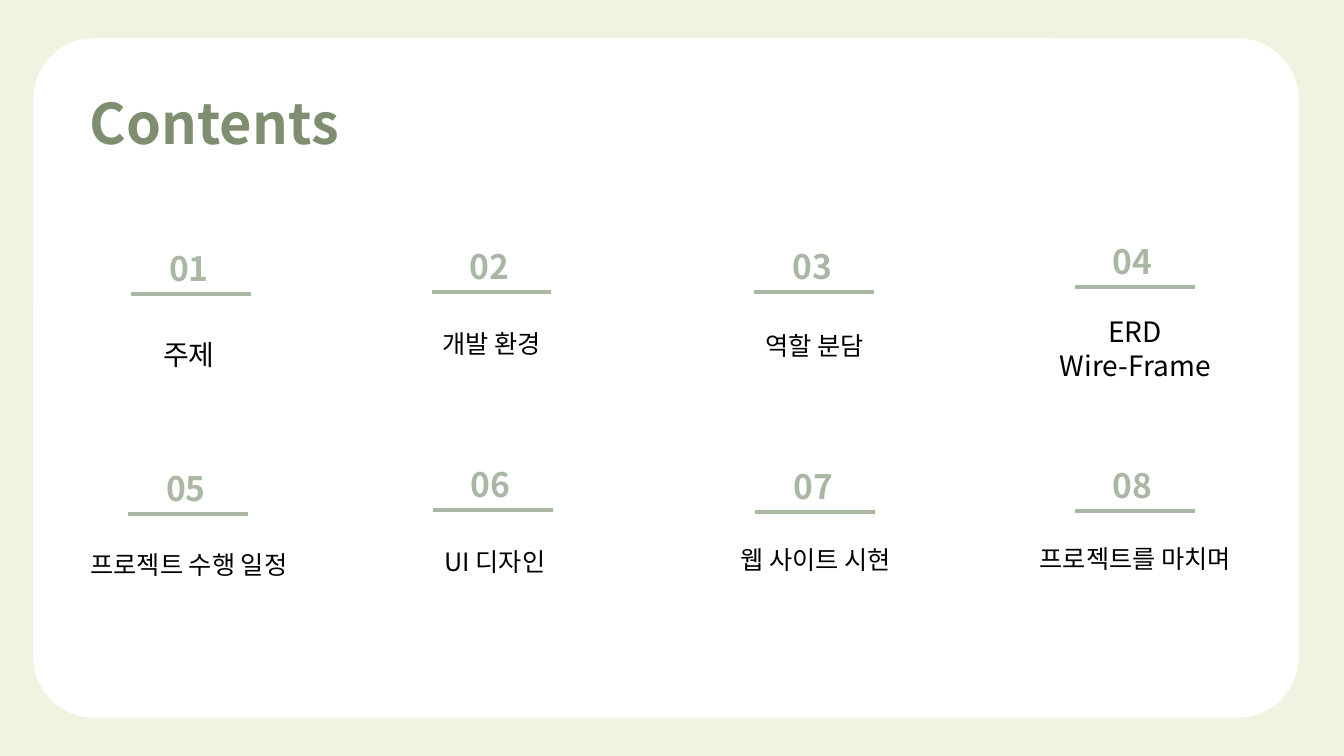
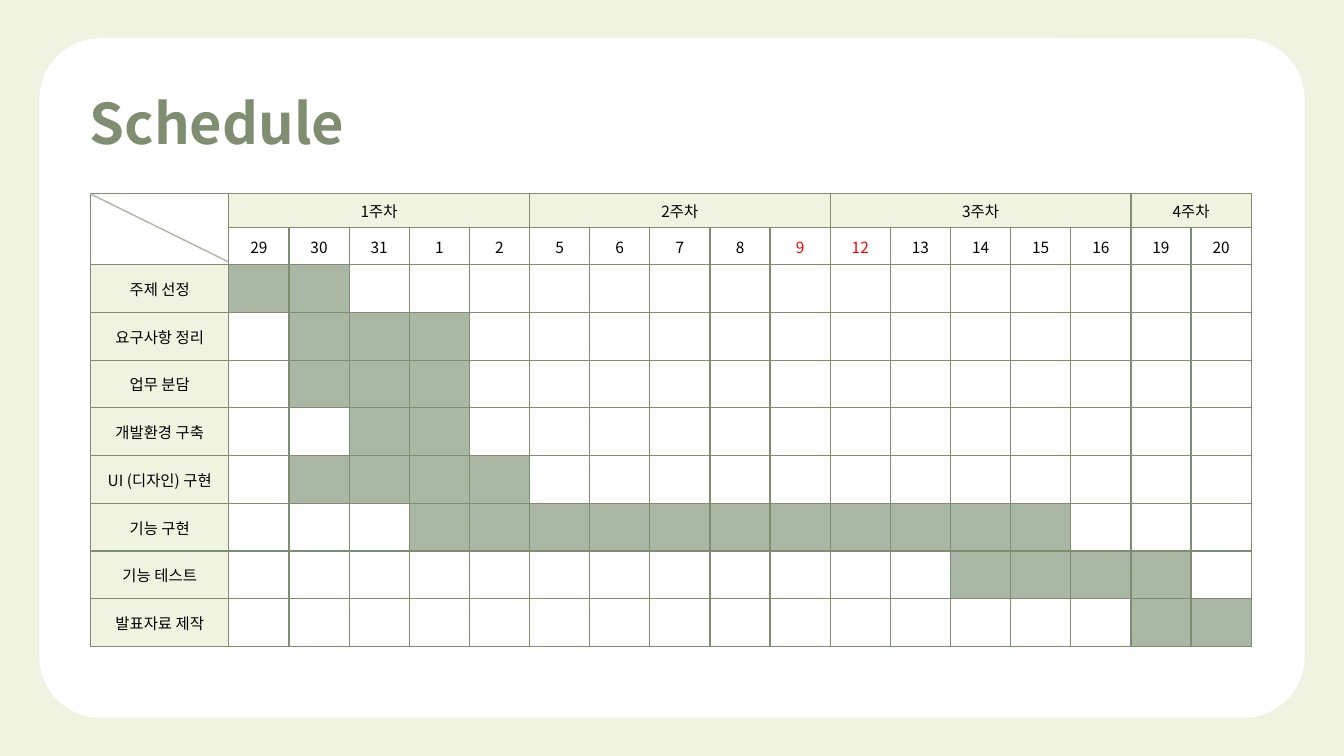
import pptx
import pptx.dml.color
import pptx.enum.shapes
import pptx.enum.text
import pptx.oxml
import pptx.oxml.ns
import pptx.util
from lxml import etree

Inches = pptx.util.Inches
Pt = pptx.util.Pt
RGBColor = pptx.dml.color.RGBColor
ALIGN = pptx.enum.text.PP_ALIGN
ANCHOR = pptx.enum.text.MSO_ANCHOR
qn = pptx.oxml.ns.qn

CREAM = RGBColor(0xF1, 0xF3, 0xE1)
OLIVE = RGBColor(0x7F, 0x8D, 0x70)
SAGE = RGBColor(0xAB, 0xB7, 0xA5)
WHITE = RGBColor(0xFF, 0xFF, 0xFF)
BLACK = RGBColor(0, 0, 0)
RED = RGBColor(0xFF, 0, 0)
FONT = "Noto Sans CJK KR"

CHAPTERS = [
    ("01", 1.3, 2.92),
    ("02", 4.28, 2.9),
    ("03", 7.48, 2.9),
    ("04", 10.66, 2.85),
    ("05", 1.27, 5.1),
    ("06", 4.29, 5.06),
    ("07", 7.49, 5.08),
    ("08", 10.66, 5.07),
]
CHAPTER_NAMES = [
    ("주제", (1.52, 3.13, 0.97, 0.56), 20, ALIGN.LEFT, 1.5),
    ("개발 환경", (4.29, 3.21, 1.44, 0.4), 18, ALIGN.LEFT, 1),
    ("역할 분담", (7.49, 3.23, 1.18, 0.4), 18, ALIGN.LEFT, 1),
    ("ERD\nWire-Frame", (10.04, 3.07, 2.44, 0.77), 20, ALIGN.CENTER, 1),
    ("프로젝트 수행 일정", (0.8, 5.4, 2.44, 0.4), 18, ALIGN.LEFT, 1),
    ("UI 디자인", (4.31, 5.37, 2.44, 0.4), 18, ALIGN.LEFT, 1),
    ("웹 사이트 시현", (6.87, 5.35, 2.44, 0.4), 18, ALIGN.CENTER, 1),
    ("프로젝트를 마치며", (10.04, 5.34, 2.44, 0.4), 18, ALIGN.CENTER, 1),
]

WEEKS = [("1주차", 5), ("2주차", 5), ("3주차", 5), ("4주차", 2)]
DAYS = [29, 30, 31, 1, 2, 5, 6, 7, 8, 9, 12, 13, 14, 15, 16, 19, 20]
HOLIDAYS = {9, 12}
TASKS = [
    ("주제 선정", 0, 2),
    ("요구사항 정리", 1, 3),
    ("업무 분담", 1, 3),
    ("개발환경 구축", 2, 2),
    ("UI (디자인) 구현", 1, 4),
    ("기능 구현", 3, 11),
    ("기능 테스트", 12, 4),
    ("발표자료 제작", 15, 2),
]


class Composer:
    def __init__(self):
        self.deck = pptx.Presentation()
        self.deck.slide_width = Inches(13.33)
        self.deck.slide_height = Inches(7.5)
        self.page = None

    def style(self, frame, size, color, bold=False, align=ALIGN.LEFT, spacing=1):
        for para in frame.paragraphs:
            para.alignment = align
            para.line_spacing = spacing
            for span in para.runs:
                span.font.size = Pt(size)
                span.font.bold = bold
                span.font.color.rgb = color
                span.font.name = FONT
                latin = span.font._element.find(qn("a:latin"))
                east_asian = etree.Element(qn("a:ea"), typeface=FONT)
                latin.addnext(east_asian)

    def start(self, title_text, panel_left):
        self.page = self.deck.slides.add_slide(self.deck.slide_layouts[5])
        self.page.background.fill.solid()
        self.page.background.fill.fore_color.rgb = CREAM
        panel = self.page.shapes.add_shape(
            pptx.enum.shapes.MSO_SHAPE.ROUNDED_RECTANGLE,
            Inches(panel_left), Inches(0.38), Inches(12.55), Inches(6.74))
        panel.adjustments[0] = 0.09
        panel.shadow.inherit = False
        panel.fill.solid()
        panel.fill.fore_color.rgb = WHITE
        panel.line.fill.background()
        title = self.page.shapes.title
        title.element.addprevious(panel.element)
        title.left, title.top = Inches(0.79), Inches(0.83)
        title.width, title.height = Inches(5.48), Inches(0.77)
        frame = title.text_frame
        frame.text = title_text
        frame.vertical_anchor = ANCHOR.TOP
        frame.auto_size = pptx.enum.text.MSO_AUTO_SIZE.NONE
        self.style(frame, 40, OLIVE, bold=True)

    def text(self, words, place, size, color, **look):
        box = self.page.shapes.add_textbox(*map(Inches, place))
        box.text_frame.word_wrap = True
        box.text_frame.text = words
        self.style(box.text_frame, size, color, **look)

    def line(self, start, end, width):
        rule = self.page.shapes.add_connector(
            pptx.enum.shapes.MSO_CONNECTOR.STRAIGHT,
            *map(Inches, start + end))
        rule.line.color.rgb = SAGE
        rule.line.width = Pt(width)
        etree.SubElement(rule.element.spPr, qn("a:effectLst"))

    def number(self, digits, left, top):
        self.line((left, top), (left + 1.19, top), 3)
        self.text(digits, (left + 0.28, top - 0.71, 0.8, 0.65), 24, SAGE,
                  bold=True, spacing=1.5)

    def cell(self, cell, words="", fill=WHITE, color=BLACK):
        cell.text = words
        cell.vertical_anchor = ANCHOR.MIDDLE
        cell.margin_top = cell.margin_bottom = Inches(0.03)
        self.style(cell.text_frame, 11, color, align=ALIGN.CENTER)
        properties = cell._tc.get_or_add_tcPr()
        for side in ("lnL", "lnR", "lnT", "lnB"):
            border = etree.SubElement(properties, qn("a:" + side), w=str(Pt(1)))
            paint = etree.SubElement(border, qn("a:solidFill"))
            etree.SubElement(paint, qn("a:srgbClr"), val=str(OLIVE))
        cell.fill.solid()
        cell.fill.fore_color.rgb = fill

    def schedule(self):
        width, height = Inches(11.51), Inches(4.47)
        label_width, head_height = Inches(1.37), Inches(0.34)
        table = self.page.shapes.add_table(
            len(TASKS) + 2, len(DAYS) + 1,
            Inches(0.9), Inches(1.92), width, height).table
        table.first_row = table.horz_banding = False
        for index, column in enumerate(table.columns):
            column.width = (width - label_width) // len(DAYS) if index else label_width
        for index, row in enumerate(table.rows):
            row.height = ((height - 2 * head_height) // len(TASKS)
                          if index > 1 else head_height)

        for row in range(2):
            self.cell(table.cell(row, 0))
        table.cell(0, 0).merge(table.cell(1, 0))
        first = 1
        for week, length in WEEKS:
            for offset in range(length):
                self.cell(table.cell(0, first + offset),
                          "" if offset else week, CREAM)
            table.cell(0, first).merge(table.cell(0, first + length - 1))
            first += length
        for column, day in enumerate(DAYS, 1):
            self.cell(table.cell(1, column), str(day),
                      color=RED if day in HOLIDAYS else BLACK)
        for row, (task, begin, length) in enumerate(TASKS, 2):
            self.cell(table.cell(row, 0), task, CREAM)
            for day in range(len(DAYS)):
                busy = begin <= day < begin + length
                self.cell(table.cell(row, day + 1), fill=SAGE if busy else WHITE)


def main():
    composer = Composer()

    composer.start("Contents", 0.33)
    for chapter in CHAPTERS:
        composer.number(*chapter)
    for words, place, size, align, spacing in CHAPTER_NAMES:
        composer.text(words, place, size, BLACK, align=align, spacing=spacing)

    composer.start("Schedule", 0.39)
    composer.schedule()
    composer.line((0.89, 1.92), (2.27, 2.6), 1)

    composer.deck.save("out.pptx")


if __name__ == "__main__":
    main()
